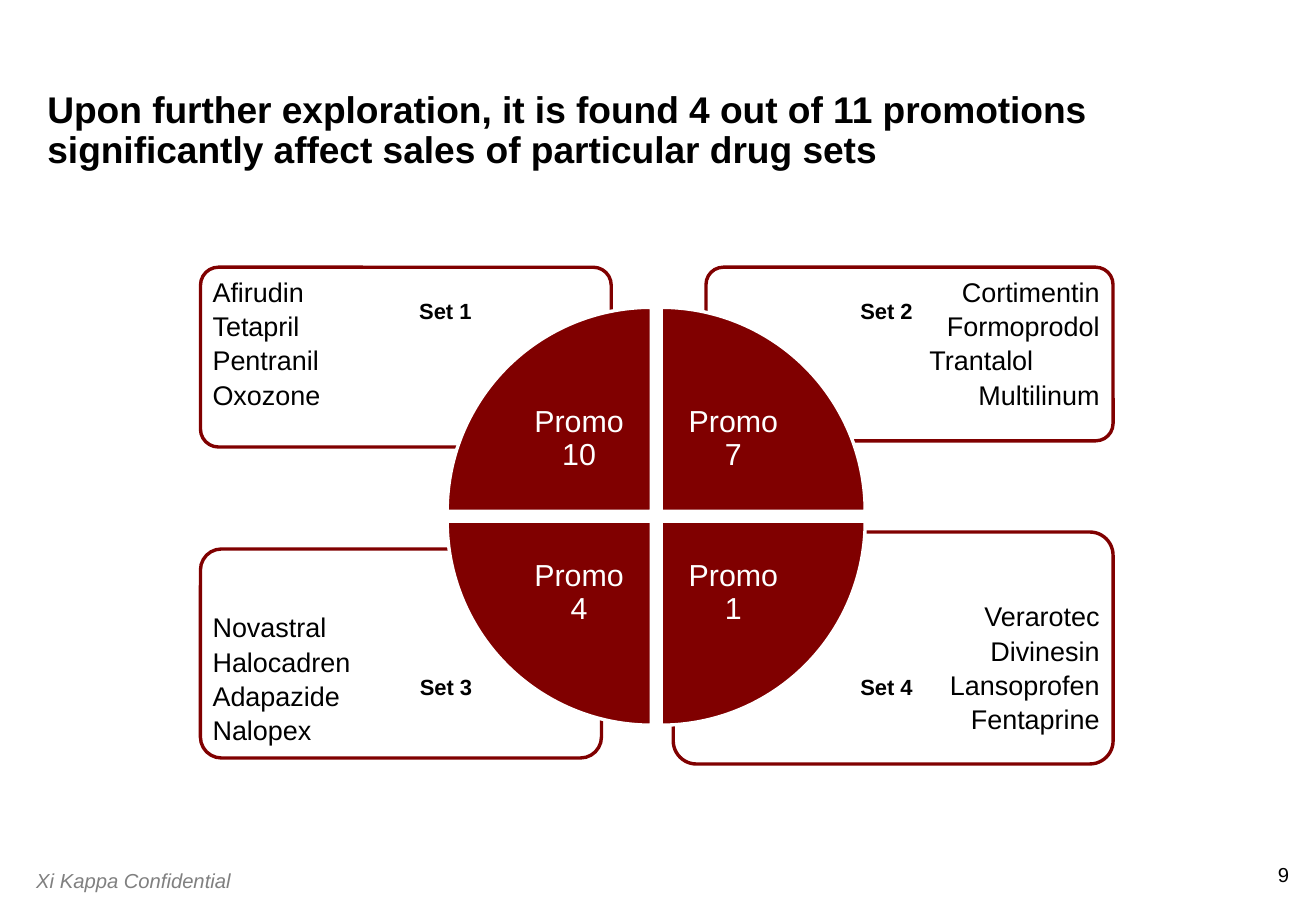
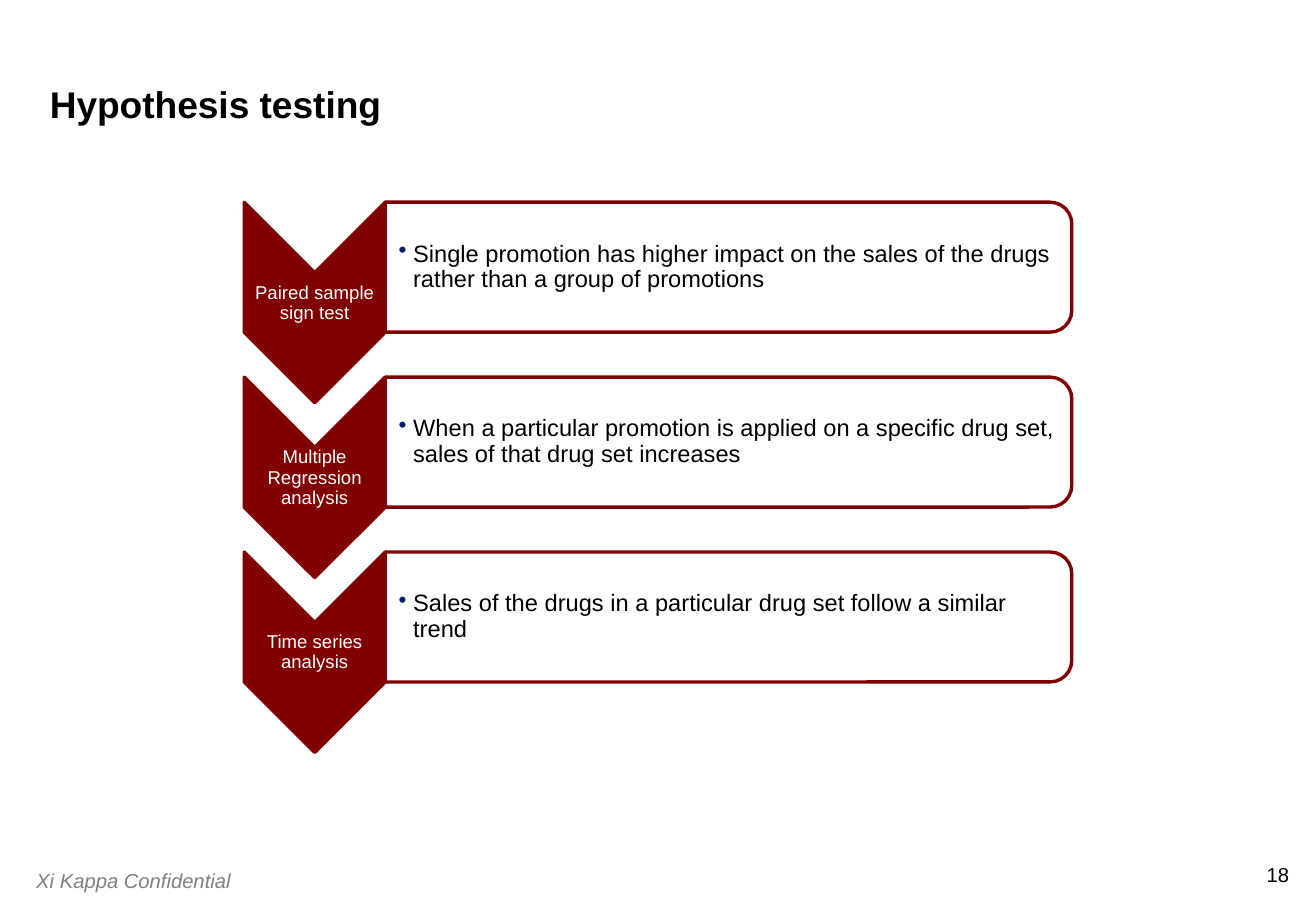
from collections import namedtuple
from lxml.etree import SubElement as Sub
from pptx import Presentation
from pptx.dml.color import RGBColor as Rgb
from pptx.enum.shapes import MSO_SHAPE as Kind
from pptx.enum.text import MSO_ANCHOR as Anchor, MSO_AUTO_SIZE as Fit, PP_ALIGN as Align
from pptx.oxml.ns import qn
from pptx.util import Inches, Pt

# Theme: colours and type sizes
Theme = namedtuple("Theme", "font red white black grey navy title promo item body label foot step")
look = Theme(font="Arial", red="800000", white="FFFFFF", black="000000", grey="808080",
             navy="0B1F65", title=22, promo=18, item=16, body=14, label=13, foot=12, step=11)

# Grid: one unit is a tenth of an inch
UNIT = Inches(0.1)
WIDE, HIGH = 108.3, 75


def write(shape, lines, size, color=look.black, align=Align.LEFT, anchor=Anchor.TOP,
          inset=(0, 0, 0, 0), bold=False, italic=False, leading=0.9, after=0,
          bullet=None, shift=None):
    """Fill a shape with paragraphs; shift maps a line to its own left margin."""
    frame = shape.text_frame
    frame.auto_size, frame.word_wrap = Fit.NONE, True
    frame.vertical_anchor = anchor
    (frame.margin_left, frame.margin_top,
     frame.margin_right, frame.margin_bottom) = [Inches(n) for n in inset]
    for i, line in enumerate(lines):
        para = frame.paragraphs[0] if i == 0 else frame.add_paragraph()
        para.text = line
        para.alignment, para.line_spacing = align, leading
        para.space_before, para.space_after = Pt(0), Pt(after)
        props = para._p.get_or_add_pPr()
        if shift and line in shift:
            para.alignment = Align.LEFT
            props.set("marL", str(Inches(shift[line])))
        if bullet:
            props.set("marL", str(Inches(0.12)))
            props.set("indent", str(-Inches(0.12)))
            Sub(Sub(props, qn("a:buClr")), qn("a:srgbClr")).set("val", look.navy)
            Sub(props, qn("a:buChar")).set("char", bullet)
        font = para.font
        font.name, font.size = look.font, Pt(size)
        font.bold, font.italic = bold, italic
        font.color.rgb = Rgb.from_string(color)


def draw(slide, kind, at, fill=look.white, line=look.red, turn=0):
    """Add a shape that covers the box "at" after its turn; no kind gives a text box."""
    x, y, w, h = at
    if turn % 180:
        x, y, w, h = x + (w - h) / 2, y + (h - w) / 2, h, w
    spot = [int(n * UNIT) for n in (x, y, w, h)]
    if kind is None:
        return slide.shapes.add_textbox(*spot)
    shape = slide.shapes.add_shape(kind, *spot)
    shape.shadow.inherit = False
    shape.rotation = turn
    shape.fill.solid()
    shape.fill.fore_color.rgb = Rgb.from_string(fill)
    shape.line.color.rgb = Rgb.from_string(line)
    shape.line.width = Pt(2)
    return shape


deck = Presentation()
deck.slide_width, deck.slide_height = int(WIDE * UNIT), int(HIGH * UNIT)

# Shared parts: title, footer, page number
heads = [
    ("Upon further exploration, it is found 4 out of 11 promotions significantly "
     "affect sales of particular drug sets", (3.9, 6.8, 100.2, 7.3), "9"),
    ("Hypothesis testing", (4.1, 4.3, 79.8, 6.1), "18"),
]
for text, at, page in heads:
    slide = deck.slides.add_slide(deck.slide_layouts[5])
    head = slide.shapes.title
    head.left, head.top, head.width, head.height = [int(n * UNIT) for n in at]
    write(head, [text], look.title, bold=True, anchor=Anchor.BOTTOM)
    write(draw(slide, None, (2, 71, 30, 3)), ["Xi Kappa Confidential"], look.foot,
          color=look.grey, italic=True, leading=1, inset=(0.1, 0.05, 0.1, 0.05))
    write(draw(slide, None, (96.1, 71, 10, 2)), [page], look.foot,
          align=Align.RIGHT, leading=1)
promo, tests = deck.slides

# Drug sets: column, row, panel width, top and height, list top, label box, names
LEFT, RIGHT, LIST = 16.5, 91.6, 23
sets = [
    ("Set 4", 1, 55.4 - 55.4 + 36.2, 43.8, 19.1, 49, (68.4, 55, 9.1),
     ["Verarotec", "Divinesin", "Lansoprofen", "Fentaprine"]),
    ("Set 3", 0, 33, 45.2, 17.2, 49.9, (32.3, 55, 8.8),
     ["Novastral", "Halocadren", "Adapazide", "Nalopex"]),
    ("Set 2", 1, 33.5, 22, 14.3, 22.3, (68.4, 24, 9.1),
     ["Cortimentin", "Formoprodol", "Trantalol", "Multilinum"]),
    ("Set 1", 0, 33.8, 22, 14.8, 22.3, (30.9, 24, 11.5),
     ["Afirudin", "Tetapril", "Pentranil", "Oxozone"]),
]
for name, col, w, y, h, top, tag, drugs in sets:
    panel = draw(promo, Kind.ROUNDED_RECTANGLE, (RIGHT - w if col else LEFT, y, w, h))
    panel.adjustments[0] = 0.1
    x = RIGHT - 0.4 - LIST if col else LEFT + 0.3
    write(draw(promo, None, (x, top, LIST, 13)), drugs, look.item, after=3,
          align=Align.RIGHT if col else Align.LEFT, inset=[0.07] * 4,
          shift={"Trantalol": 0.76})
    write(draw(promo, None, (*tag, 3.2)), [name], look.label, bold=True,
          align=Align.CENTER, leading=1, inset=(0.1, 0.05, 0.1, 0.05))

# Promotion wheel: four quarters, clockwise from top left
SIDE, STEP, INNER = 16.8, 17.6, 11.9
quarters = [("Promo 10", 0, 0), ("Promo 7", 1, 0), ("Promo 1", 1, 1), ("Promo 4", 0, 1)]
for i, (name, col, row) in enumerate(quarters):
    x, y = 36.8 + col * STEP, 25.3 + row * STEP
    draw(promo, Kind.PIE_WEDGE, (x, y, SIDE, SIDE), fill=look.red, line=look.white,
         turn=90 * i)
    gap = SIDE - INNER
    write(draw(promo, None, (x + (1 - col) * gap, y + (1 - row) * gap, INNER, INNER)),
          [name], look.promo, color=look.white, align=Align.CENTER,
          anchor=Anchor.MIDDLE, inset=[0.14] * 4)

# Tests: chevron and finding in each row
steps = [
    ("Paired sample sign test",
     "Single promotion has higher impact on the sales of the drugs rather than a group "
     "of promotions"),
    ("Multiple Regression analysis",
     "When a particular promotion is applied on a specific drug set, sales of that drug "
     "set increases"),
    ("Time series analysis",
     "Sales of the drugs in a particular drug set follow a similar trend"),
]
EDGE, ARM = 20.1, 11.6
for i, (test, note) in enumerate(steps):
    y = 16.65 + i * 14.4
    draw(tests, Kind.CHEVRON, (EDGE, y, ARM, 16.5), fill=look.red, turn=90)
    write(draw(tests, None, (EDGE, y + 5.8, ARM, 5)), [test], look.step,
          color=look.white, align=Align.CENTER, anchor=Anchor.MIDDLE, inset=[0.01] * 4)
    draw(tests, Kind.ROUND_2_SAME_RECTANGLE, (EDGE + ARM, y, 56.5, 10.7), turn=90)
    write(draw(tests, None, (EDGE + ARM, y + 0.5, 55.9, 9.7)), [note], look.body,
          anchor=Anchor.MIDDLE, inset=(0.11, 0.01, 0.01, 0.01), bullet="•")

deck.save("out.pptx")
